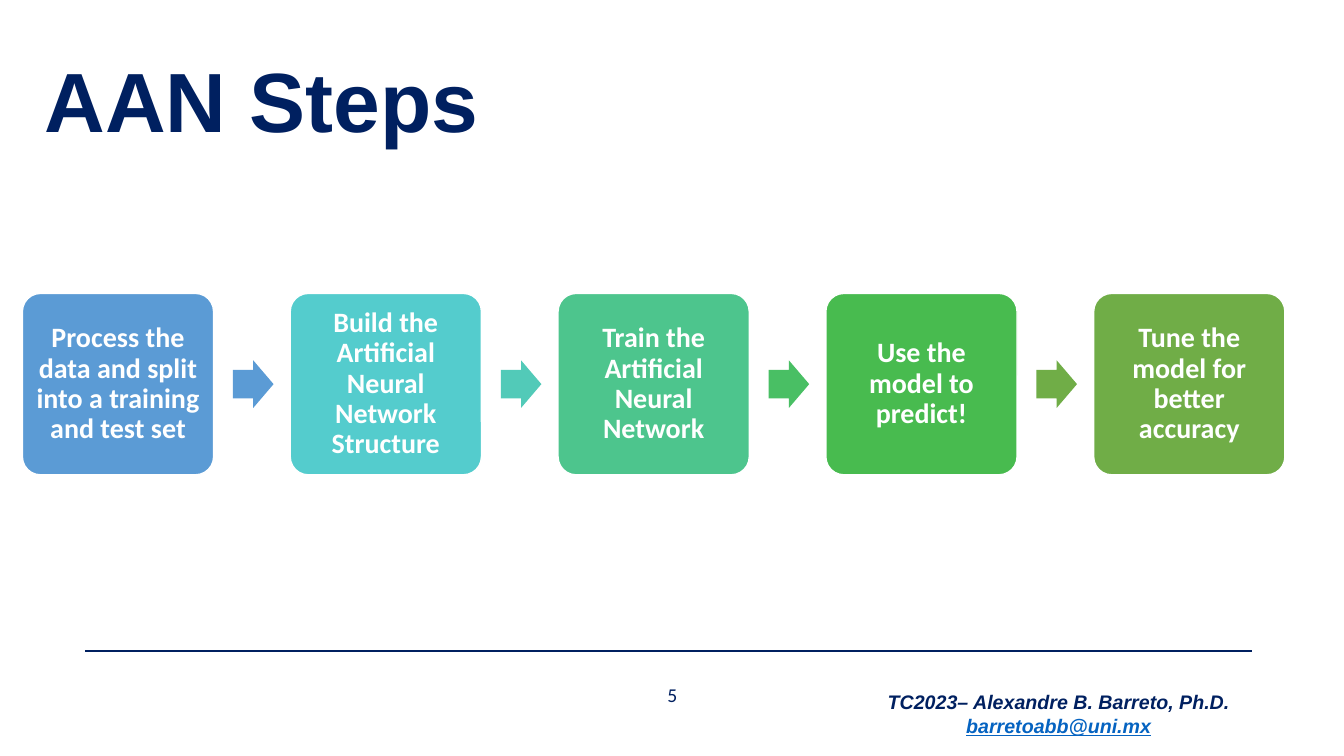
from pptx import Presentation
from pptx.dml.color import RGBColor
from pptx.enum.shapes import MSO_CONNECTOR, MSO_SHAPE
from pptx.enum.text import MSO_ANCHOR, MSO_AUTO_SIZE, PP_ALIGN
from pptx.oxml.ns import qn
from pptx.util import Pt
from lxml.etree import SubElement

NAVY, WHITE, LINK = "002060", "FFFFFF", "0563C1"
TITLE = "AAN Steps"
PAGE = "5"
FOOT = [
    ("TC2023– Alexandre B. Barreto, Ph.D.", NAVY, False),
    ("barretoabb@uni.mx", LINK, True),
]
STEPS = [
    ("Process the data and split into a training and test set", "5B9BD5"),
    ("Build the Artificial Neural Network Structure", "54CCCD"),
    ("Train the Artificial Neural Network", "4DC58D"),
    ("Use the model to predict!", "48BB4F"),
    ("Tune the model for better accuracy", "70AD47"),
]
ARROWS = ["5B9BD5", "52CAB8", "49BF64", "70AD47"]

LEFT, TOP, WIDE, HIGH, PITCH = 16, 209.6, 136.6, 129.6, 191.3
TIP_W, TIP_H, TIP_GAP = 29, 34, 13.8
PAD = 5.8
MID = TOP + HIGH / 2

HEAD = {"size": Pt(60), "name": "Arial", "bold": True}
STEP = {"size": Pt(20), "name": "Calibri", "bold": True}
NUMBER = {"size": Pt(14), "name": "Calibri"}
NOTE = {"size": Pt(14), "name": "Arial", "bold": True, "italic": True}
CENTER = {"alignment": PP_ALIGN.CENTER}
TIGHT = {"line_spacing": 0.9}
MIDDLE = {"word_wrap": True, "vertical_anchor": MSO_ANCHOR.MIDDLE,
          "auto_size": MSO_AUTO_SIZE.NONE}
PADDED = {"margin_" + side: Pt(PAD) for side in ("left", "top", "right", "bottom")}


def apply(item, style):
    for key, value in style.items():
        setattr(item, key, value)


def paint(color, tone):
    color.rgb = RGBColor.from_string(tone)


def write(par, text, font, tone, look):
    run = par.add_run()
    run.text = text
    apply(run.font, font)
    paint(run.font.color, tone)
    apply(par, look)
    return run


def place(*box):
    return [Pt(size) for size in box]


def block(slide, kind, box, tone, ratios):
    shape = slide.shapes.add_shape(kind, *place(*box))
    shape.shadow.inherit = False
    for index, ratio in enumerate(ratios):
        shape.adjustments[index] = ratio
    shape.fill.solid()
    paint(shape.fill.fore_color, tone)
    shape.line.fill.background()
    return shape


def label(slide, box, look):
    frame = slide.shapes.add_textbox(*place(*box)).text_frame
    apply(frame, look)
    return frame


def main():
    deck = Presentation()
    apply(deck, {"slide_width": Pt(960), "slide_height": Pt(540)})
    slide = deck.slides.add_slide(deck.slide_layouts[5])

    title = slide.shapes.title
    apply(title, dict(zip(("left", "top", "width", "height"),
                          place(24.5, 23, 828, 104.4))))
    apply(title.text_frame, MIDDLE)
    write(title.text_frame.paragraphs[0], TITLE, HEAD, NAVY,
          TIGHT | {"alignment": PP_ALIGN.LEFT})

    rule = slide.shapes.add_connector(MSO_CONNECTOR.STRAIGHT,
                                      *place(60.8, 465, 894, 465))
    rule.line.width = Pt(1.5)
    paint(rule.line.color, NAVY)
    SubElement(rule._element.spPr, qn("a:effectLst"))

    page = label(slide, (418.3, 488.9, 123.8, 14.4), MIDDLE)
    write(page.paragraphs[0], PAGE, NUMBER, NAVY, CENTER)

    foot = label(slide, (624.2, 489.6, 264.2, 41), {"word_wrap": True})
    for index, (text, tone, under) in enumerate(FOOT):
        par = foot.add_paragraph() if index else foot.paragraphs[0]
        write(par, text, NOTE | {"underline": under}, tone, CENTER)

    for index, (text, tone) in enumerate(STEPS):
        left = LEFT + index * PITCH
        step = block(slide, MSO_SHAPE.ROUNDED_RECTANGLE,
                     (left, TOP, WIDE, HIGH), tone, [0.1])
        step.line.width = Pt(1)
        paint(step.line.color, WHITE)
        apply(step.text_frame, MIDDLE | PADDED)
        write(step.text_frame.paragraphs[0], text, STEP, WHITE, CENTER | TIGHT)
        if index < len(ARROWS):
            block(slide, MSO_SHAPE.RIGHT_ARROW,
                  (left + WIDE + TIP_GAP, MID - TIP_H / 2, TIP_W, TIP_H),
                  ARROWS[index], [0.6, 0.5])

    deck.save("out.pptx")


if __name__ == "__main__":
    main()
